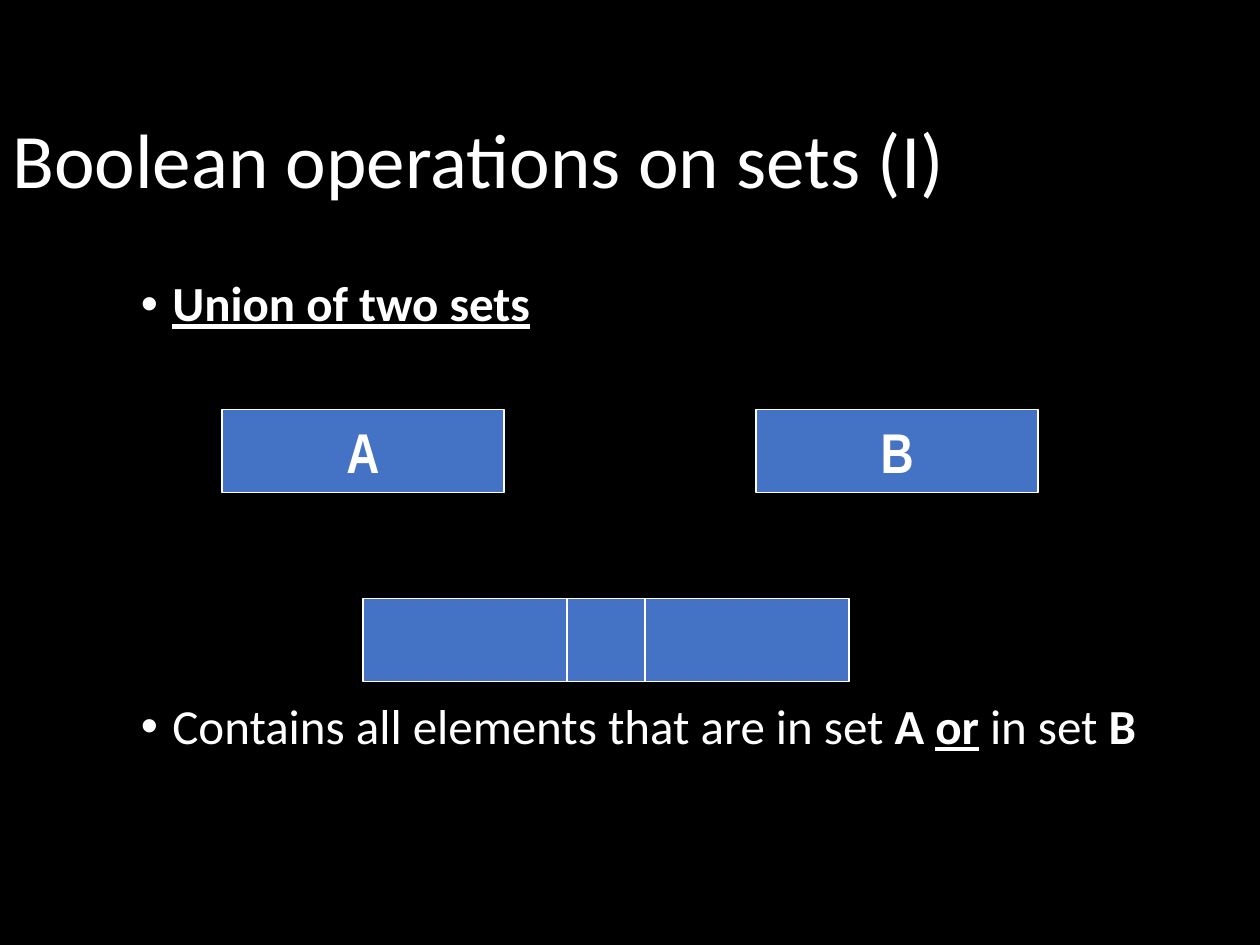
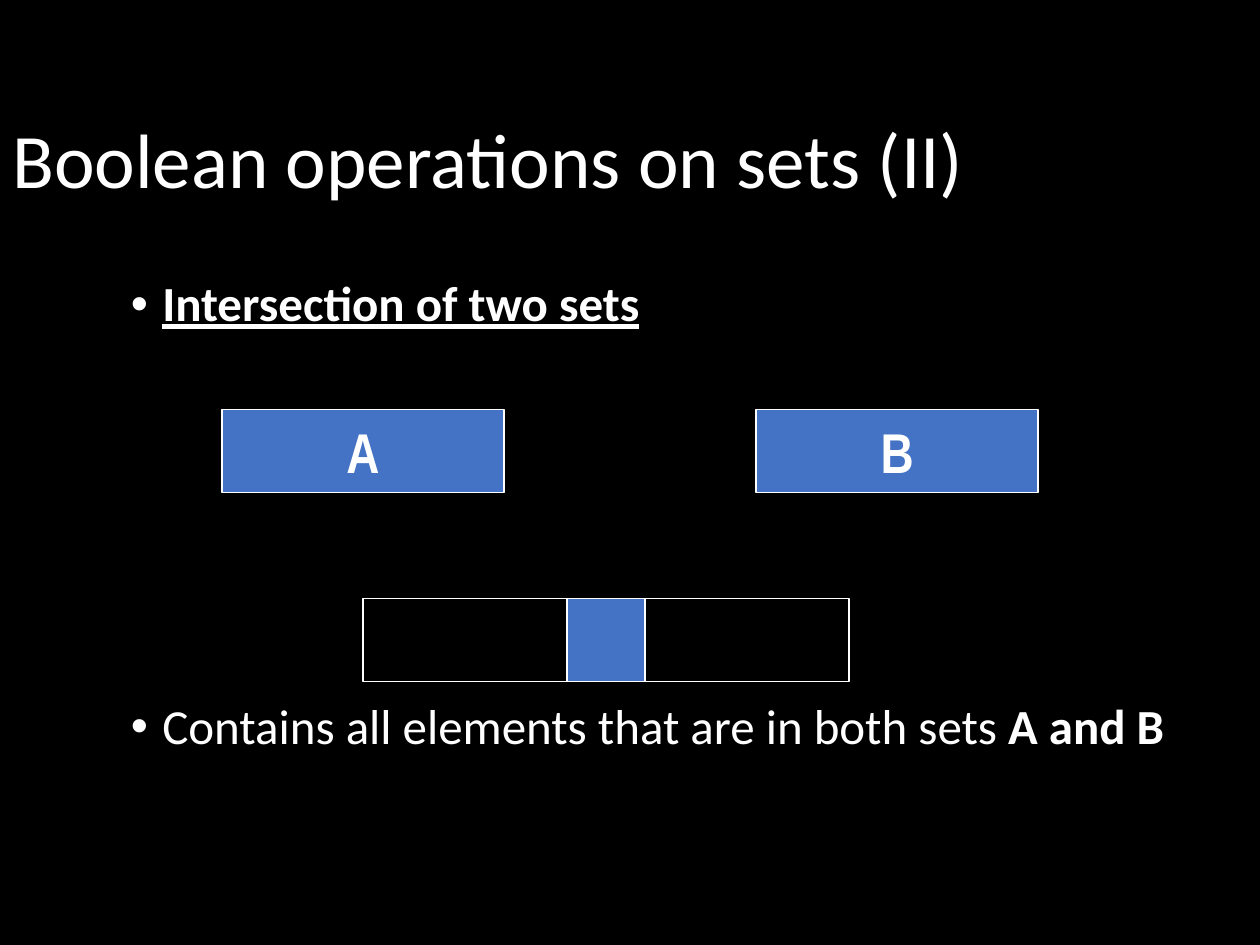
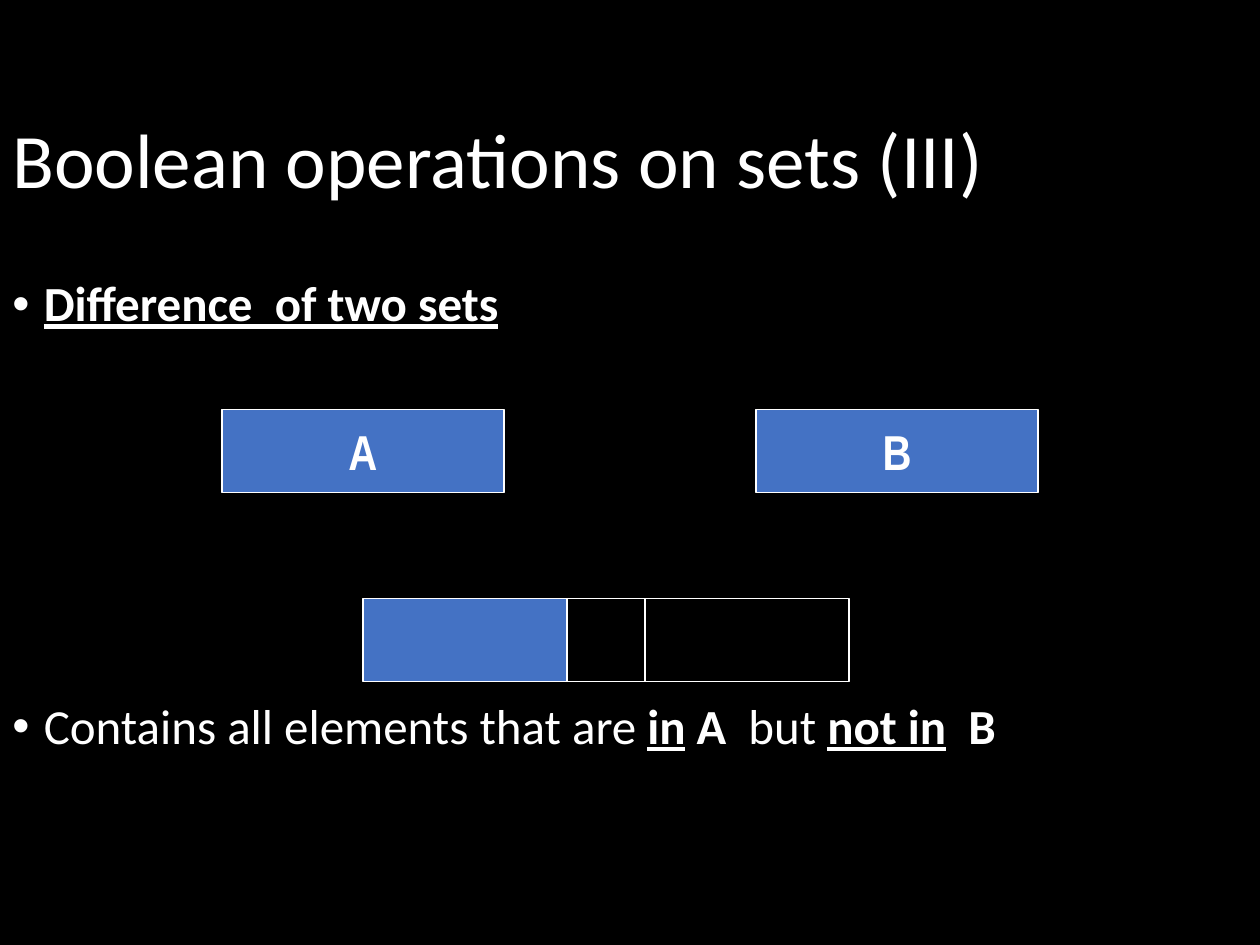
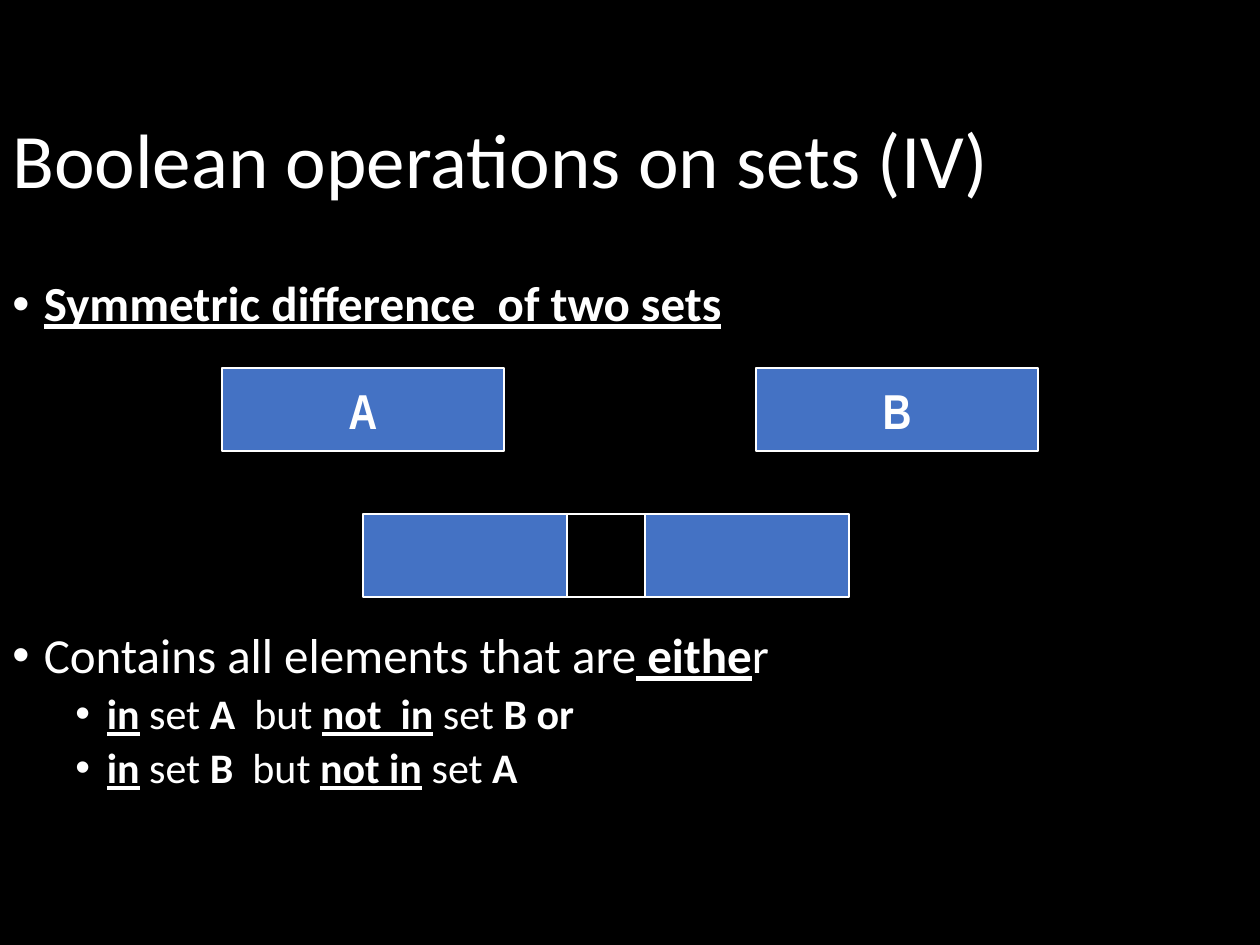
from lxml import etree
from pptx import Presentation
from pptx.dml.color import RGBColor
from pptx.enum.shapes import MSO_CONNECTOR, MSO_SHAPE
from pptx.enum.text import MSO_ANCHOR, PP_ALIGN
from pptx.oxml.ns import qn
from pptx.util import Inches, Pt

BLACK = RGBColor(0x00, 0x00, 0x00)
WHITE = RGBColor(0xFF, 0xFF, 0xFF)
BLUE = RGBColor(0x44, 0x72, 0xC4)
RECT = MSO_SHAPE.RECTANGLE
STRAIGHT = MSO_CONNECTOR.STRAIGHT
MIDDLE = MSO_ANCHOR.MIDDLE
CENTER = PP_ALIGN.CENTER

BAR_W, BAR_H = 2.24, 0.66
LEFT_X, RIGHT_X = 2.88, 4.5  # the two bars that overlap
EDGE_X = LEFT_X + BAR_W      # where the left bar ends
LINE_STEP = 40.2             # points from one body line to the next


def write(par, runs, size=28, font="Calibri", level=None, gap=0, align=None, tight=0.9):
    """Fill a paragraph with (text, style) runs; b is bold, u underlined; a level adds a bullet."""
    if level is not None:
        par.level = level
        props = par._p.get_or_add_pPr()
        props.set("marL", str(Inches(0.25 + 0.5 * level)))
        props.set("indent", str(Inches(-0.25)))
        etree.SubElement(props, qn("a:buFont")).set("typeface", "Arial")
        etree.SubElement(props, qn("a:buChar")).set("char", "•")
    par.line_spacing = tight
    if gap:
        par.space_before = Pt(gap)
    if align is not None:
        par.alignment = align
    for words, style in runs:
        run = par.add_run()
        run.text = words
        run.font.size = Pt(size)
        run.font.name = font
        run.font.color.rgb = WHITE
        run.font.bold = "b" in style
        run.font.underline = "u" in style


def add_bar(slide, x, y, width=BAR_W, fill=BLUE):
    bar = slide.shapes.add_shape(RECT, Inches(x), Inches(y), Inches(width), Inches(BAR_H))
    bar.shadow.inherit = False
    if fill is None:
        bar.fill.background()
    else:
        bar.fill.solid()
        bar.fill.fore_color.rgb = fill
    bar.line.color.rgb = WHITE
    bar.line.width = Pt(1)
    return bar


# fills: left bar, right bar, overlap; skip: body lines left free for the bars
PAGES = [
    dict(num="I", head="Union of two sets", x=1.02, width=8.98, skip=5,
         set_y=3.25, mix_y=4.75, size=32, fills=(BLUE, BLUE, None), split=True,
         rule=[("Contains all elements that are in set ", ""), ("A ", "b"), ("or", "bu"),
               (" in set ", ""), ("B", "b")], subs=[]),
    dict(num="II", head="Intersection of two sets", x=0.94, width=9.06, skip=5,
         set_y=3.25, mix_y=4.75, size=32, fills=(None, None, BLUE), split=True,
         rule=[("Contains all elements that are in both sets ", ""), ("A and B", "b")], subs=[]),
    dict(num="III", head="Difference  of two sets", x=0, width=8.5, skip=5,
         set_y=3.25, mix_y=4.75, size=28, fills=(BLUE, None, BLACK), split=True,
         rule=[("Contains all elements that are ", ""), ("in", "bu"), (" A", "b"),
               ("  but ", ""), ("not in", "bu"), ("  B", "b")], subs=[]),
    dict(num="IV", head="Symmetric difference  of two sets", x=0, width=8.5, skip=4,
         set_y=2.92, mix_y=4.08, size=28, fills=(BLUE, BLUE, BLACK), split=False,
         rule=[("Contains all elements that are", ""), (" eithe", "bu"), ("r", "")],
         subs=[("A", "not  in", " B or"), ("B", "not in", " A")]),
]

deck = Presentation()
deck.slide_width, deck.slide_height = Inches(10), Inches(7.5)

for page in PAGES:
    slide = deck.slides.add_slide(deck.slide_layouts[6])
    slide.background.fill.solid()
    slide.background.fill.fore_color.rgb = BLACK

    title = slide.shapes.add_textbox(Inches(0), Inches(0.67), Inches(8.5), Inches(1.25)).text_frame
    title.word_wrap = True
    title.vertical_anchor = MIDDLE
    write(title.paragraphs[0], [(f"Boolean operations on sets ({page['num']})", "")], size=44)

    body = slide.shapes.add_textbox(
        Inches(page["x"]), Inches(2.17), Inches(page["width"]), Inches(4.5)).text_frame
    body.word_wrap = True
    write(body.paragraphs[0], [(page["head"], "bu")], level=0)
    write(body.add_paragraph(), page["rule"], level=0, gap=10 + LINE_STEP * page["skip"])
    for inside, verb, outside in page["subs"]:
        runs = [("in", "bu"), (" ", "b"), ("set ", ""), (inside, "b"), ("  but ", ""),
                (verb, "bu"), (" ", "b"), ("set", ""), (outside, "b")]
        write(body.add_paragraph(), runs, size=24, level=1, gap=5)

    for name, x in (("A", 1.76), ("B", 6)):
        frame = add_bar(slide, x, page["set_y"]).text_frame
        frame.word_wrap = False
        frame.vertical_anchor = MIDDLE
        write(frame.paragraphs[0], [(name, "b")], size=page["size"], font="Arial Narrow",
              align=CENTER, tight=1.0)

    left, right, overlap = page["fills"]
    y = page["mix_y"]
    add_bar(slide, LEFT_X, y, fill=left)
    add_bar(slide, RIGHT_X, y, fill=right)
    if page["split"]:
        edge = slide.shapes.add_connector(
            STRAIGHT, Inches(EDGE_X), Inches(y), Inches(EDGE_X), Inches(y + BAR_H))
        edge.line.color.rgb = WHITE
        edge.line.width = Pt(1)
        etree.SubElement(edge._element.spPr, qn("a:effectLst"))
    if overlap is not None:
        add_bar(slide, RIGHT_X, y, width=EDGE_X - RIGHT_X, fill=overlap)

deck.save("out.pptx")
